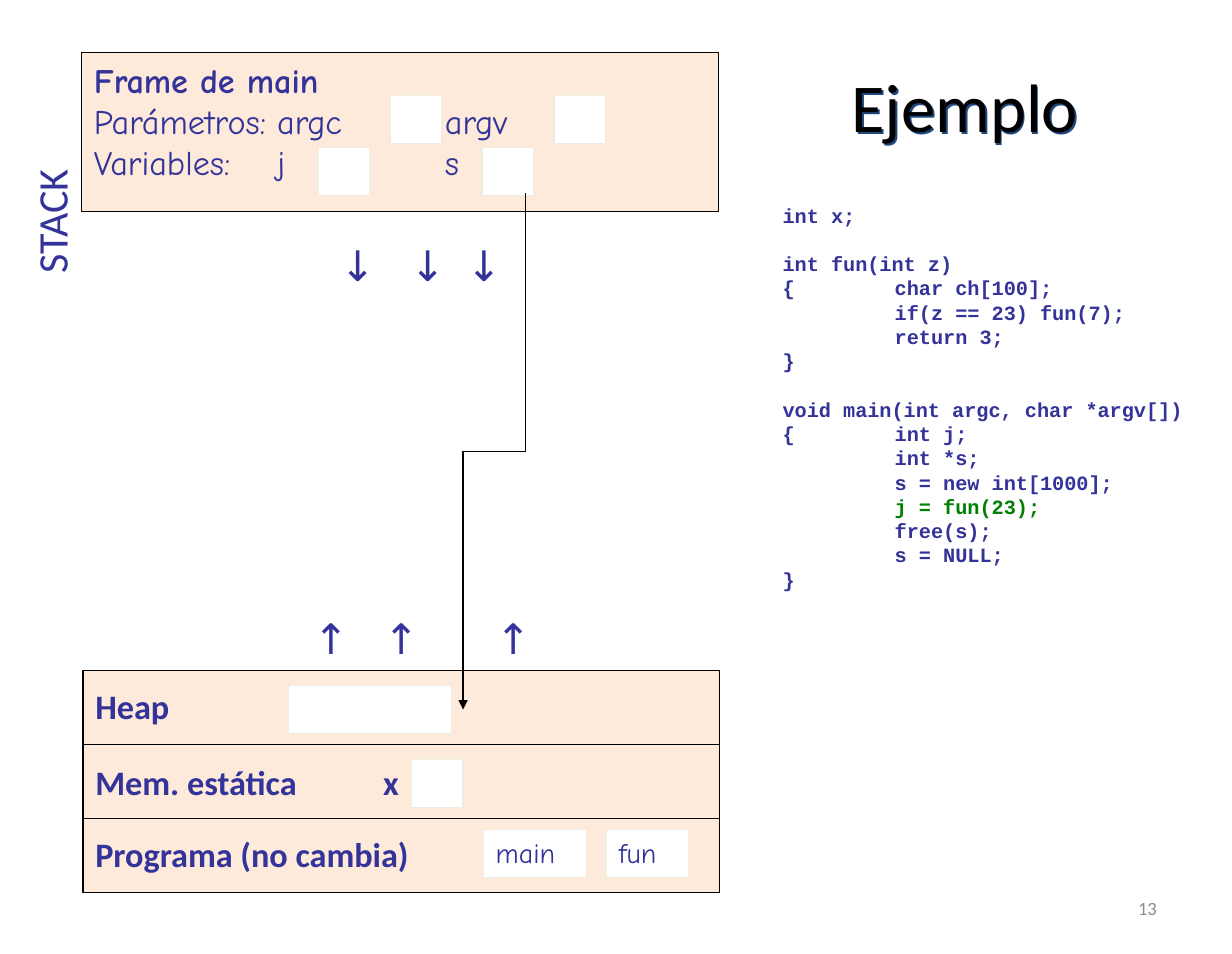
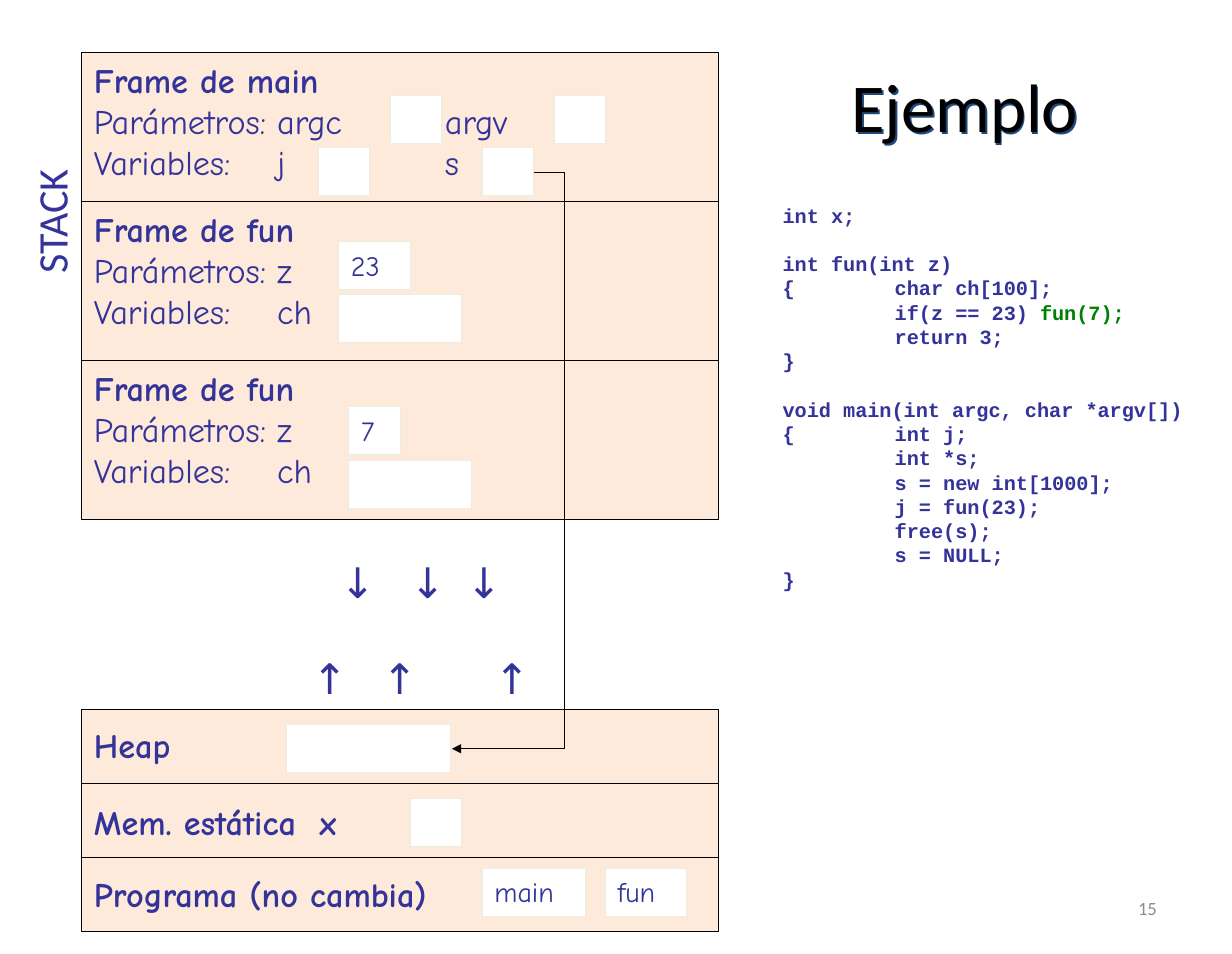
from dataclasses import dataclass

from lxml import etree
from pptx import Presentation
from pptx.dml.color import RGBColor
from pptx.enum.shapes import MSO_CONNECTOR as Link, MSO_SHAPE as Shape
from pptx.enum.text import MSO_ANCHOR as Anchor, PP_ALIGN as Align
from pptx.oxml.ns import qn
from pptx.util import Cm, Pt


@dataclass(frozen=True)
class Theme:
    """Colours, fonts and type sizes (pt) shared by the slides."""
    ink: str = "333399"
    accent: str = "008000"
    band: str = "FDEADA"
    cell: str = "FFFFFF"
    cell_edge: str = "EEECE1"
    black: str = "000000"
    grey: str = "8C8C8C"
    shade: str = "1F497D"
    sans: str = "Calibri"
    hand: str = "Comic Neue"
    mono: str = "Courier New"
    title: int = 44
    big: int = 27
    label: int = 22
    value: int = 18
    code: int = 13
    number: int = 12
    leading: float = 1.2


THEME = Theme()
LEFT, BAND_WIDTH = 1.85, 14.43
FRAME_HEIGHT, ROW_HEIGHT = 3.61, 1.68
CELL_WIDTH, CELL_HEIGHT = 1.17, 1.09
ARROWS_HEIGHT = 1.45
CODE = [
    "int x;",
    "int fun(int z)",
    "{\tchar ch[100];",
    "\tif(z == 23) fun(7);",
    "\treturn 3;",
    "}",
    "void main(int argc, char *argv[])",
    "{\tint j;",
    "\tint *s;",
    "\ts = new int[1000];",
    "\tj = fun(23);",
    "\tfree(s);",
    "\ts = NULL;",
    "}",
]
CODE_BLOCK_STARTS = (1, 6)
MAIN_LINES = ["Frame de main", "Parámetros:\targc\targv", "Variables:\tj\ts"]
MAIN_CELLS = [(6.99, 0.97, CELL_WIDTH, ""), (10.7, 0.97, CELL_WIDTH, ""),
              (5.36, 2.16, CELL_WIDTH, ""), (9.07, 2.16, CELL_WIDTH, "")]
FUN_LINES = ["Frame de fun", "Parámetros:\tz", "Variables:\tch"]


def add_xml(parent, tag, **attributes):
    """Append an element to an XML parent and return it."""
    child = etree.SubElement(parent, qn(tag))
    for name, value in attributes.items():
        child.set(name, str(value))
    return child


def write(shape, lines, *, size, font=THEME.hand, color=THEME.ink, bold=False,
          head_bold=False, align=Align.LEFT, anchor=Anchor.TOP, tabs=(),
          leading=None, gaps=(), highlight=None):
    """Fill a shape with paragraphs; gaps lists the lines set one line lower."""
    frame = shape.text_frame
    frame.word_wrap = True
    frame.vertical_anchor = anchor
    frame.margin_left = frame.margin_right = Cm(0.28)
    frame.margin_top = frame.margin_bottom = Cm(0.15)
    for index, line in enumerate(lines):
        para = frame.add_paragraph() if index else frame.paragraphs[0]
        para.alignment = align
        if leading:
            para.line_spacing = Pt(size * leading)
        if index in gaps:
            para.space_before = Pt(size * leading)
        if tabs:
            stops = add_xml(para._p.get_or_add_pPr(), "a:tabLst")
            for stop in tabs:
                add_xml(stops, "a:tab", pos=int(Cm(stop)), algn="l")
        pieces = line.partition(highlight) if highlight else (line,)
        for piece in filter(None, pieces):
            span = para.add_run()
            span.text = piece
            span.font.name = font
            span.font.size = Pt(size)
            span.font.bold = bold or (head_bold and index == 0)
            shown = THEME.accent if piece == highlight else color
            span.font.color.rgb = RGBColor.from_string(shown)


def add_text(page, x, y, width, height, lines, **style):
    """Add a text box with formatted lines."""
    box = page.shapes.add_textbox(Cm(x), Cm(y), Cm(width), Cm(height))
    write(box, lines, **style)
    return box


def add_rect(page, x, y, width, height, fill, edge):
    """Add a flat rectangle with a thin outline."""
    rect = page.shapes.add_shape(
        Shape.RECTANGLE, Cm(x), Cm(y), Cm(width), Cm(height))
    rect.shadow.inherit = False
    rect.fill.solid()
    rect.fill.fore_color.rgb = RGBColor.from_string(fill)
    rect.line.color.rgb = RGBColor.from_string(edge)
    rect.line.width = Pt(0.75)
    return rect


def add_cell(page, x, y, width=CELL_WIDTH, value=""):
    """Add a white memory cell, with its value if it has one."""
    cell = add_rect(page, x, y, width, CELL_HEIGHT, THEME.cell, THEME.cell_edge)
    if value:
        write(cell, [value], size=THEME.value)


def add_frame(page, y, lines, cells):
    """Add a stack frame; cells are placed relative to its corner."""
    add_rect(page, LEFT, y, BAND_WIDTH, FRAME_HEIGHT, THEME.band, THEME.black)
    add_text(page, LEFT, y, BAND_WIDTH, 3.18, lines, size=THEME.label,
             head_bold=True, tabs=(4.15, 7.95), leading=THEME.leading)
    for dx, dy, width, value in cells:
        add_cell(page, LEFT + dx, y + dy, width, value)


def add_arrows(page, x, y, text):
    """Add a row of three growth arrows over a memory region."""
    add_text(page, x + 1.17, y, 13.03, ARROWS_HEIGHT, [text],
             size=THEME.big, align=Align.CENTER)


def add_lower_memory(page, x, y, font, x_tab):
    """Add heap, static memory and program rows, with arrows above them."""
    rows = [
        ("Heap", 0.19, 0.34, [(4.65, 3.71, "")]),
        ("Mem. estática\tx", 0.24, 0.34, [(7.44, CELL_WIDTH, "")]),
        ("Programa (no cambia)", 0.19, 0.24,
         [(9.07, 2.34, "main"), (11.86, 1.85, "fun")]),
    ]
    for index, (label, label_dy, cell_dy, cells) in enumerate(rows):
        top = y + index * ROW_HEIGHT
        add_rect(page, x, top, BAND_WIDTH, ROW_HEIGHT, THEME.band, THEME.black)
        add_text(page, x, top + label_dy, 10.24, 1.24, [label],
                 size=THEME.label, font=font, bold=True, tabs=(x_tab,))
        for dx, width, value in cells:
            add_cell(page, x + dx, top + cell_dy, width, value)
    add_arrows(page, x, y - ARROWS_HEIGHT, "↑ \t ↑ \t ↑")


def add_pointer(page, start, end, bend, upright=False):
    """Add an elbow arrow; an upright one leaves its start vertically."""
    (x1, y1), (x2, y2) = start, end
    if upright:
        mid_x, mid_y = (x1 + x2) / 2, (y1 + y2) / 2
        half_x, half_y = (x2 - x1) / 2, (y2 - y1) / 2
        x1, y1 = mid_x - half_y, mid_y + half_x
        x2, y2 = mid_x + half_y, mid_y - half_x
    arrow = page.shapes.add_connector(Link.ELBOW, Cm(x1), Cm(y1), Cm(x2), Cm(y2))
    arrow.line.color.rgb = RGBColor.from_string(THEME.black)
    arrow.line.width = Pt(0.75)
    add_xml(arrow.line._get_or_add_ln(), "a:tailEnd", type="triangle")
    props = arrow._element.spPr
    add_xml(props, "a:effectLst")
    if upright:
        props.find(qn("a:xfrm")).set("rot", str(90 * 60000))
    guides = props.find(qn("a:prstGeom")).find(qn("a:avLst"))
    add_xml(guides, "a:gd", name="adj1", fmla=f"val {round(bend * 100000)}")


def add_title(page, text):
    """Add the title with its offset shadow."""
    title = add_text(page, 17.91, 0.97, 7.9, 2.82, [text], size=THEME.title,
                     font=THEME.sans, color=THEME.black, align=Align.CENTER,
                     anchor=Anchor.MIDDLE)
    effects = add_xml(title._element.spPr, "a:effectLst")
    shadow = add_xml(effects, "a:outerShdw", dist=int(Cm(0.06)), dir=45 * 60000)
    add_xml(shadow, "a:srgbClr", val=THEME.shade)


def add_memory_page(deck, number, highlight):
    """Add a slide with the title, code, stack label and number."""
    page = deck.slides.add_slide(deck.slide_layouts[6])
    add_title(page, "Ejemplo")
    add_text(page, 17.45, 4.45, 10.46, 9.5, CODE, size=THEME.code,
             font=THEME.mono, bold=True, tabs=(2.54,), leading=THEME.leading,
             gaps=CODE_BLOCK_STARTS, highlight=highlight)
    stack = add_text(page, -0.89, 3.71, 4.09, 1.45, ["STACK"],
                     size=THEME.big, font=THEME.sans)
    stack.rotation = 270
    add_text(page, 19.99, 20.02, 6.5, 1.14, [number], size=THEME.number,
             font=THEME.sans, color=THEME.grey, align=Align.RIGHT,
             anchor=Anchor.MIDDLE)
    add_frame(page, 1.19, MAIN_LINES, MAIN_CELLS)
    return page


def add_call_from_main(deck):
    """Build the slide where only main is on the stack."""
    page = add_memory_page(deck, "13", "j = fun(23);")
    add_arrows(page, LEFT, 5.28, "↓\t ↓\t ↓")
    add_lower_memory(page, 1.88, 15.19, THEME.sans, 6.52)
    add_pointer(page, (11.91, 4.37), (10.49, 16.08), 0.5, upright=True)


def add_recursive_call(deck):
    """Build the slide where fun has called itself."""
    page = add_memory_page(deck, "15", "fun(7);")
    add_frame(page, 4.57, FUN_LINES,
              [(5.82, 0.91, 1.63, "23"), (5.82, 2.11, 2.79, "")])
    add_frame(page, 8.17, FUN_LINES,
              [(6.05, 1.05, CELL_WIDTH, "7"), (6.05, 2.27, 2.79, "")])
    add_arrows(page, LEFT, 12.47, "↓\t ↓\t ↓")
    add_lower_memory(page, LEFT, 16.08, THEME.hand, 5.11)
    add_pointer(page, (12.09, 3.91), (10.24, 16.97), -0.38)


deck = Presentation()
deck.slide_width, deck.slide_height = Cm(27.91), Cm(21.62)
add_call_from_main(deck)
add_recursive_call(deck)
deck.save("out.pptx")
